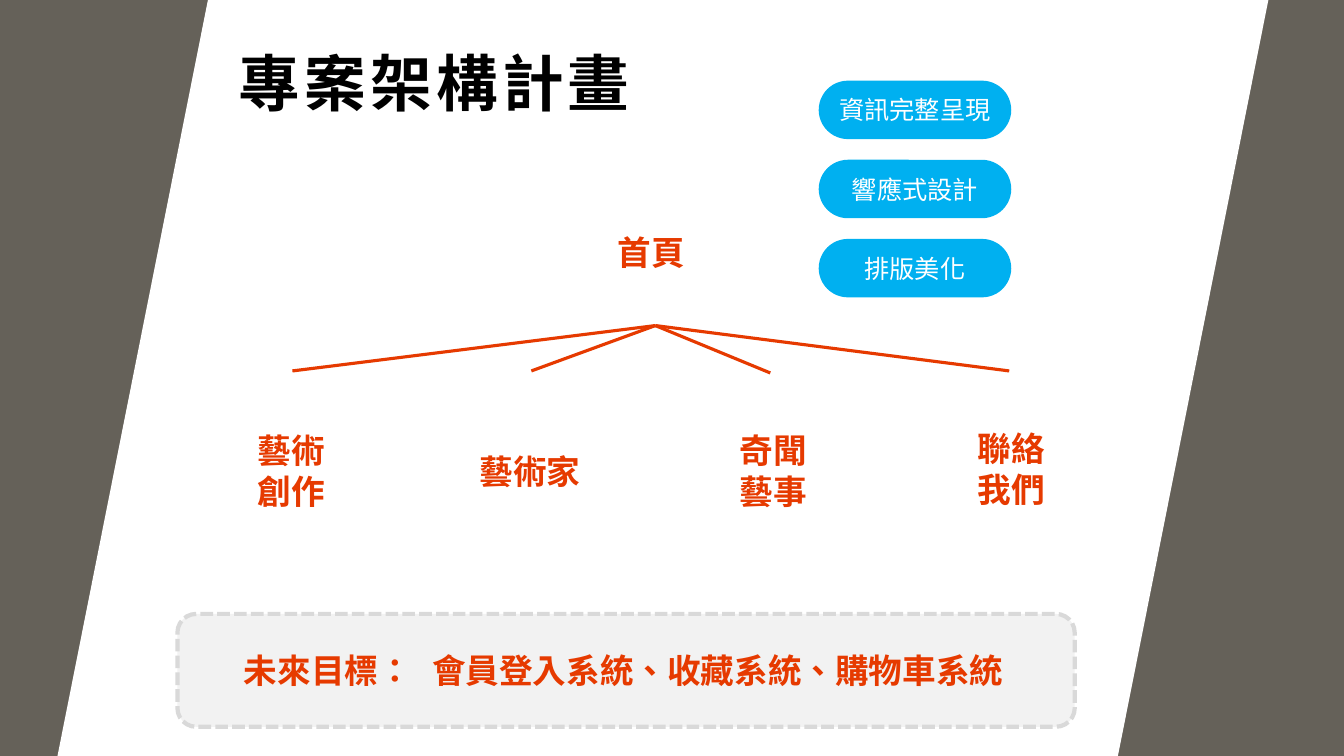
from lxml.etree import SubElement
from pptx import Presentation
from pptx.dml.color import RGBColor
from pptx.enum.dml import MSO_LINE
from pptx.enum.lang import MSO_LANGUAGE_ID
from pptx.enum.shapes import MSO_CONNECTOR, MSO_SHAPE
from pptx.enum.text import MSO_ANCHOR, PP_ALIGN
from pptx.oxml.ns import qn
from pptx.util import Inches, Pt

WIDTH, HEIGHT = 13.33, 7.5
BROWN = RGBColor(0x65, 0x61, 0x59)
WHITE = RGBColor(0xFF, 0xFF, 0xFF)
BLACK = RGBColor(0, 0, 0)
RED = RGBColor(0xE6, 0x3A, 0x00)
BLUE = RGBColor(0x00, 0xB0, 0xF0)
PALE = RGBColor(0xF2, 0xF2, 0xF2)
GREY = RGBColor(0xD9, 0xD9, 0xD9)
MONO, SANS = "DejaVu Sans Mono", "Noto Sans CJK SC"


def write(shape, text, size=24, color=RED, bold=True, face=MONO,
          align=PP_ALIGN.LEFT, anchor=MSO_ANCHOR.TOP, wrap=True, gap=0):
    """Put formatted text into a shape."""
    frame = shape.text_frame
    frame.word_wrap = wrap
    frame.vertical_anchor = anchor
    par = frame.paragraphs[0]
    par.alignment = align
    run = par.add_run()
    run.text = text
    font = run.font
    font.size, font.bold, font.name = Pt(size), bold, face
    font.color.rgb = color
    font.language_id = MSO_LANGUAGE_ID.TRADITIONAL_CHINESE
    props = run._r.get_or_add_rPr()
    SubElement(props, qn("a:ea")).set("typeface", face)
    if gap:
        props.set("spc", str(gap * 100))


def label(shapes, box, text, **style):
    """Add a text box."""
    write(shapes.add_textbox(*map(Inches, box)), text, **style)


def block(shapes, kind, box, fill, adj=None):
    """Add a flat filled shape without an outline."""
    shape = shapes.add_shape(kind, *map(Inches, box))
    shape.shadow.inherit = False
    shape.fill.solid()
    shape.fill.fore_color.rgb = fill
    shape.line.fill.background()
    if adj is not None:
        shape.adjustments[0] = adj
    return shape


def edge(shapes, start, end):
    """Draw one branch of the tree."""
    line = shapes.add_connector(MSO_CONNECTOR.STRAIGHT, *map(Inches, start + end))
    line.line.color.rgb = RED
    line.line.width = Pt(2.25)
    SubElement(line._element.spPr, qn("a:effectLst"))


def backdrop(shapes):
    """Lay the slanted white page on brown."""
    block(shapes, MSO_SHAPE.RECTANGLE, (0, 0, WIDTH, HEIGHT), BROWN)
    block(shapes, MSO_SHAPE.PARALLELOGRAM, (0.57, 0, 12.01, HEIGHT), WHITE, 0.199)


def tree(shapes, box):
    """Draw the site map: home page, branches and four pages."""
    left, top, width, height = box
    group = shapes.add_group_shape().shapes
    root = (left + 4.04, top + 0.98)
    step = 2.37
    pages = [("藝術創作", 0, 0.99, 1.97, 1.43),
             ("藝術家", 2.2, 1.21, 2.17, 1.43),
             ("奇聞藝事", 4.78, 1.05, 1.97, 1.45),
             ("聯絡我們", 7.14, 1.05, 1.95, 1.43)]
    label(group, (left + 3.57, top, 1.21, 0.5), "首頁")
    for i, (text, x, wide, y, tip) in enumerate(pages):
        label(group, (left + x, top + y, wide, height - y), text)
        edge(group, root, (left + 0.44 + i * step, top + tip))


def goal(shapes, box):
    """Draw the dashed panel with the future goals."""
    left, top, width, height = box
    group = shapes.add_group_shape().shapes
    panel = block(group, MSO_SHAPE.ROUNDED_RECTANGLE, box, PALE)
    panel.line.color.rgb = GREY
    panel.line.width = Pt(3)
    panel.line.dash_style = MSO_LINE.SQUARE_DOT
    label(group, (left + 0.56, top + 0.31, width - 0.77, 0.5),
          "未來目標： 會員登入系統、收藏系統、購物車系統")


def pills(shapes, box, names):
    """Stack the rounded feature tags at an equal pitch."""
    left, top, width, height = box
    tall = 0.58
    pitch = (height - tall) / (len(names) - 1)
    for i, name in enumerate(names):
        pill = block(shapes, MSO_SHAPE.ROUNDED_RECTANGLE,
                     (left, top + i * pitch, width, tall), BLUE, 0.5)
        write(pill, name, size=18, color=WHITE, bold=False,
              align=PP_ALIGN.CENTER, anchor=MSO_ANCHOR.MIDDLE)


def main():
    """Build and save the slide."""
    deck = Presentation()
    deck.slide_width, deck.slide_height = Inches(WIDTH), Inches(HEIGHT)
    shapes = deck.slides.add_slide(deck.slide_layouts[6]).shapes
    backdrop(shapes)
    label(shapes, (2.23, 0.4, 4.16, 0.84), "專案架構計畫", size=44, color=BLACK,
          face=SANS, align=PP_ALIGN.CENTER, wrap=False, gap=3)
    tree(shapes, (2.46, 2.25, 8.19, 2.88))
    goal(shapes, (1.76, 6.09, 8.9, 1.12))
    pills(shapes, (8.12, 0.8, 1.91, 2.15), ["資訊完整呈現", "響應式設計", "排版美化"])
    deck.save("out.pptx")


if __name__ == "__main__":
    main()
